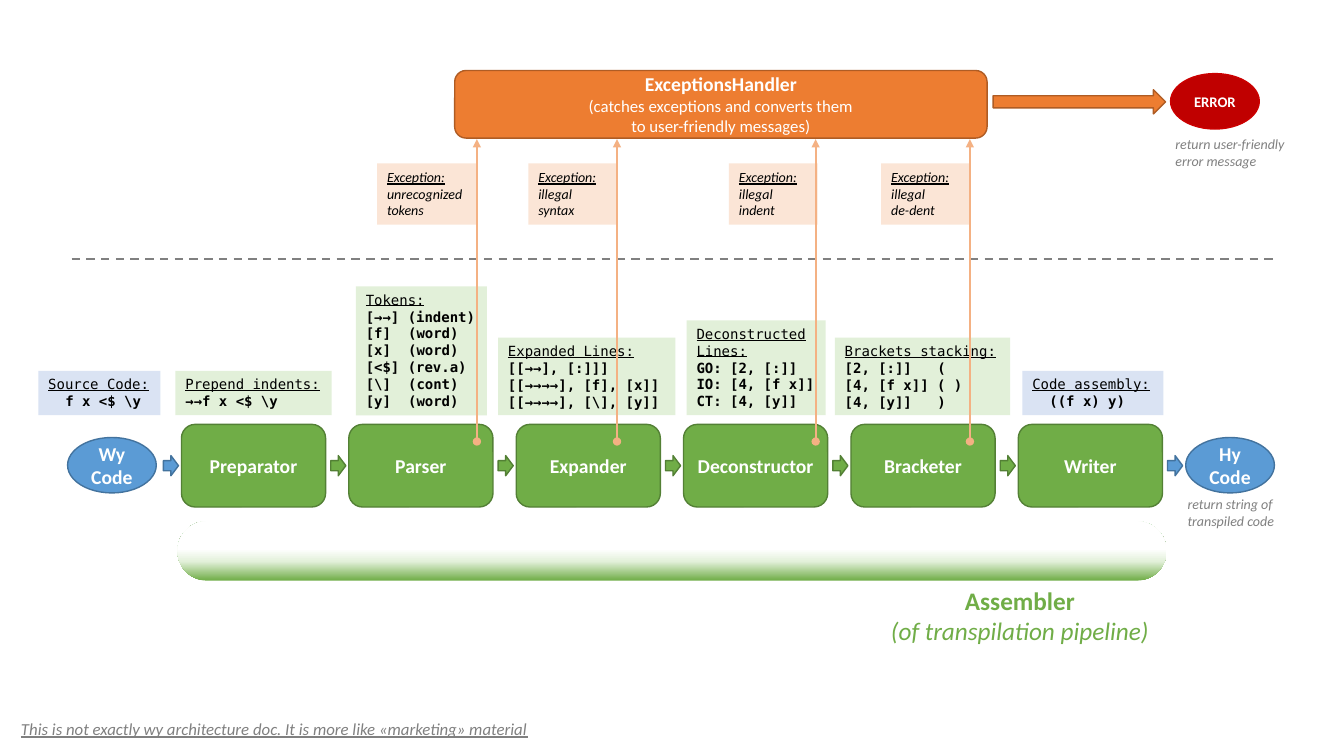
"""Draw the transpilation pipeline with its exception handling."""
import copy
from dataclasses import dataclass
from typing import Optional

import lxml.etree
import pptx
import pptx.dml.color
import pptx.enum.dml
import pptx.enum.shapes
import pptx.enum.text
import pptx.oxml.ns
import pptx.util

Inches = pptx.util.Inches
RGBColor = pptx.dml.color.RGBColor
Shape = pptx.enum.shapes.MSO_SHAPE
Align = pptx.enum.text.PP_ALIGN
Anchor = pptx.enum.text.MSO_ANCHOR
qn = pptx.oxml.ns.qn

WHITE = RGBColor(0xFF, 0xFF, 0xFF)
BLACK = RGBColor(0x00, 0x00, 0x00)
GRAY = RGBColor(0x80, 0x80, 0x80)
GREEN = RGBColor(0x70, 0xAD, 0x47)
MOSS = RGBColor(0x53, 0x80, 0x35)
MINT = RGBColor(0xE2, 0xF0, 0xD9)
BLUE = RGBColor(0x5B, 0x9B, 0xD5)
NAVY = RGBColor(0x43, 0x73, 0x9E)
SKY = RGBColor(0xDA, 0xE3, 0xF3)
ORANGE = RGBColor(0xED, 0x7D, 0x31)
RUST = RGBColor(0xAF, 0x5C, 0x24)
PEACH = RGBColor(0xF4, 0xB1, 0x83)
CREAM = RGBColor(0xFB, 0xE5, 0xD6)
RED = RGBColor(0xC0, 0x00, 0x00)
ROSE = RGBColor(0xCC, 0x00, 0x00)

SANS = "Calibri"
MONO = "DejaVu Sans Mono"
STEP = 1.66


@dataclass
class Box:
    x: float
    y: float
    w: float
    h: float


@dataclass
class Line:
    text: str
    size: float
    color: RGBColor
    bold: bool = False
    slant: bool = False
    under: bool = False
    font: str = SANS
    align: Align = Align.LEFT
    indent: float = 0
    tab: float = 0


@dataclass
class Code:
    box: Box
    fill: RGBColor
    heads: list[str]
    rows: list[str]
    indent: float = 0
    tab: float = 0


@dataclass
class Fault:
    x: float
    w: float
    text: str
    beam: float


CODES = [
    Code(Box(0.38, 3.68, 1.21, 0.44), SKY, ["Source Code:"], ["f x <$ \\y"], indent=0.17),
    Code(Box(1.74, 3.68, 1.55, 0.44), MINT, ["Prepend indents:"], ["→→f x <$ \\y"]),
    Code(Box(3.53, 2.84, 1.3, 1.28), MINT, ["Tokens:"],
         ["[→→] (indent)", "[f]\t(word)", "[x]\t(word)", "[<$] (rev.a)",
          "[\\]\t(cont)", "[y]\t(word)"], tab=0.42),
    Code(Box(4.94, 3.35, 1.76, 0.77), MINT, ["Expanded Lines:"],
         ["[[→→], [:]]]", "[[→→→→], [f], [x]]", "[[→→→→], [\\], [y]]"]),
    Code(Box(6.81, 3.18, 1.38, 0.94), MINT, ["Deconstructed", "Lines:"],
         ["GO: [2, [:]]", "IO: [4, [f x]]", "CT: [4, [y]]"]),
    Code(Box(8.28, 3.35, 1.74, 0.77), MINT, ["Brackets stacking:"],
         ["[2, [:]]\t(", "[4, [f x]] ( )", "[4, [y]]\t)"], tab=0.92),
    Code(Box(10.14, 3.68, 1.4, 0.44), SKY, ["Code assembly:"], ["((f x) y)"], indent=0.17),
]
FAULTS = [
    Fault(3.74, 0.98, "unrecognized tokens", 4.73),
    Fault(5.24, 0.88, "illegal syntax", 6.12),
    Fault(7.23, 0.88, "illegal indent", 8.09),
    Fault(8.74, 0.88, "illegal\nde-dent", 9.62),
]
STAGES = ["Preparator", "Parser", "Expander", "Deconstructor", "Bracketer", "Writer"]


def write(frame, lines: list[Line], wrap: bool = True) -> None:
    frame.word_wrap = wrap
    for i, line in enumerate(lines):
        para = frame.paragraphs[0] if i == 0 else frame.add_paragraph()
        para.text = line.text
        para.alignment = line.align
        props = para._p.get_or_add_pPr()
        if line.indent:
            props.set("marL", str(Inches(line.indent)))
            props.set("indent", "0")
        if line.tab:
            tabs = lxml.etree.SubElement(props, qn("a:tabLst"))
            lxml.etree.SubElement(tabs, qn("a:tab"), pos=str(Inches(line.tab)), algn="l")
        font = para.font
        font.name, font.size = line.font, pptx.util.Pt(line.size)
        font.bold, font.italic, font.underline = line.bold, line.slant, line.under
        font.color.rgb = line.color


def place(box: Box) -> list[int]:
    return [Inches(v) for v in (box.x, box.y, box.w, box.h)]


def draw(slide, kind: Shape, box: Box, fill: RGBColor, edge: Optional[RGBColor] = None,
         lines: Optional[list[Line]] = None, anchor: Anchor = Anchor.MIDDLE):
    shape = slide.shapes.add_shape(kind, *place(box))
    shape.shadow.inherit = False
    shape.fill.solid()
    shape.fill.fore_color.rgb = fill
    if edge is None:
        shape.line.fill.background()
    else:
        shape.line.color.rgb = edge
        shape.line.width = pptx.util.Pt(1)
    if lines:
        write(shape.text_frame, lines)
        shape.text_frame.vertical_anchor = anchor
    return shape


def label(slide, box: Box, lines: list[Line], wrap: bool = True) -> None:
    write(slide.shapes.add_textbox(*place(box)).text_frame, lines, wrap)


def rule(slide, x: float, y: float, right: float, end: float, color: RGBColor):
    link = slide.shapes.add_connector(pptx.enum.shapes.MSO_CONNECTOR.STRAIGHT,
                                      Inches(x), Inches(y), Inches(right), Inches(end))
    link.line.color.rgb = color
    link.line.width = pptx.util.Pt(1.5)
    lxml.etree.SubElement(link._element.spPr, qn("a:effectLst"))
    return link


def shade(shape) -> None:
    shape.fill.gradient()
    shape.fill.gradient_angle = 90
    stops = shape._element.spPr.find(".//" + qn("a:gsLst"))
    stops.append(copy.deepcopy(stops[0]))
    for stop, place_at, color in zip(shape.fill.gradient_stops, (0, 0.32, 0.53),
                                     (GREEN, MINT, WHITE)):
        stop.position, stop.color.rgb = place_at, color


def badge(text: str, size: float = 14) -> Line:
    return Line(text, size, WHITE, bold=True, align=Align.CENTER)


def main() -> None:
    deck = pptx.Presentation()
    deck.slide_width, deck.slide_height = Inches(13.33), Inches(7.5)
    slide = deck.slides.add_slide(deck.slide_layouts[6])

    pill = draw(slide, Shape.ROUNDED_RECTANGLE, Box(1.76, 5.17, 9.81, 0.59), WHITE)
    pill.adjustments[0] = 0.5
    shade(pill)
    label(slide, Box(0.11, 7.08, 5.28, 0.3), [
        Line("This is not exactly wy architecture doc. It is more like «marketing» material",
             12, GRAY, slant=True, under=True)], wrap=False)

    for i, name in enumerate(STAGES):
        draw(slide, Shape.ROUNDED_RECTANGLE, Box(1.8 + STEP * i, 4.21, 1.43, 0.82),
             GREEN, MOSS, [badge(name)])
    for i in range(len(STAGES) + 1):
        fill, edge = (BLUE, NAVY) if i in (0, len(STAGES)) else (GREEN, MOSS)
        draw(slide, Shape.RIGHT_ARROW, Box(1.62 + STEP * i, 4.52, 0.15, 0.2), fill, edge)
    for x, name in ((0.67, "Wy Code"), (11.76, "Hy Code")):
        draw(slide, Shape.OVAL, Box(x, 4.34, 0.88, 0.55), BLUE, NAVY, [badge(name)])

    dash = rule(slide, 0.71, 2.57, 12.65, 2.57, GRAY)
    dash.line.dash_style = pptx.enum.dml.MSO_LINE.DASH

    for code in CODES:
        lines = [Line(t, 10, BLACK, under=True, font=MONO) for t in code.heads]
        lines += [Line(t, 10, BLACK, bold=True, font=MONO, indent=code.indent,
                       tab=code.tab if "\t" in t else 0) for t in code.rows]
        draw(slide, Shape.RECTANGLE, code.box, code.fill, lines=lines, anchor=Anchor.TOP)

    for fault in FAULTS:
        lines = [Line("Exception:", 10, BLACK, slant=True, under=True)]
        lines += [Line(t, 10, BLACK, slant=True) for t in fault.text.split("\n")]
        draw(slide, Shape.RECTANGLE, Box(fault.x, 1.62, fault.w, 0.61), CREAM,
             lines=lines, anchor=Anchor.TOP)
        beam = rule(slide, fault.beam, 4.38, fault.beam, 1.38, PEACH)
        stroke = beam.line._get_or_add_ln()
        lxml.etree.SubElement(stroke, qn("a:headEnd"), type="oval")
        lxml.etree.SubElement(stroke, qn("a:tailEnd"), type="triangle")

    draw(slide, Shape.ROUNDED_RECTANGLE, Box(4.51, 0.7, 5.28, 0.67), ORANGE, RUST, [
        badge("ExceptionsHandler"),
        Line("(catches exceptions and converts them\nto user-friendly messages)",
             12, WHITE, align=Align.CENTER)])
    draw(slide, Shape.RIGHT_ARROW, Box(9.85, 0.89, 1.71, 0.24), ORANGE, RUST)
    draw(slide, Shape.OVAL, Box(11.61, 0.73, 0.88, 0.55), RED, ROSE, [badge("ERROR", 10.5)])

    label(slide, Box(8.72, 5.76, 2.79, 0.71), [
        Line("Assembler", 18, GREEN, bold=True, align=Align.CENTER),
        Line("(of transpilation pipeline)", 18, GREEN, slant=True, align=Align.CENTER)],
        wrap=False)
    label(slide, Box(11.56, 1.3, 1.36, 0.44),
          [Line("return user-friendly error message", 10, GRAY, slant=True)])
    label(slide, Box(11.68, 4.87, 1.17, 0.44),
          [Line("return string of transpiled code", 10, GRAY, slant=True)])
    deck.save("out.pptx")


if __name__ == "__main__":
    main()
